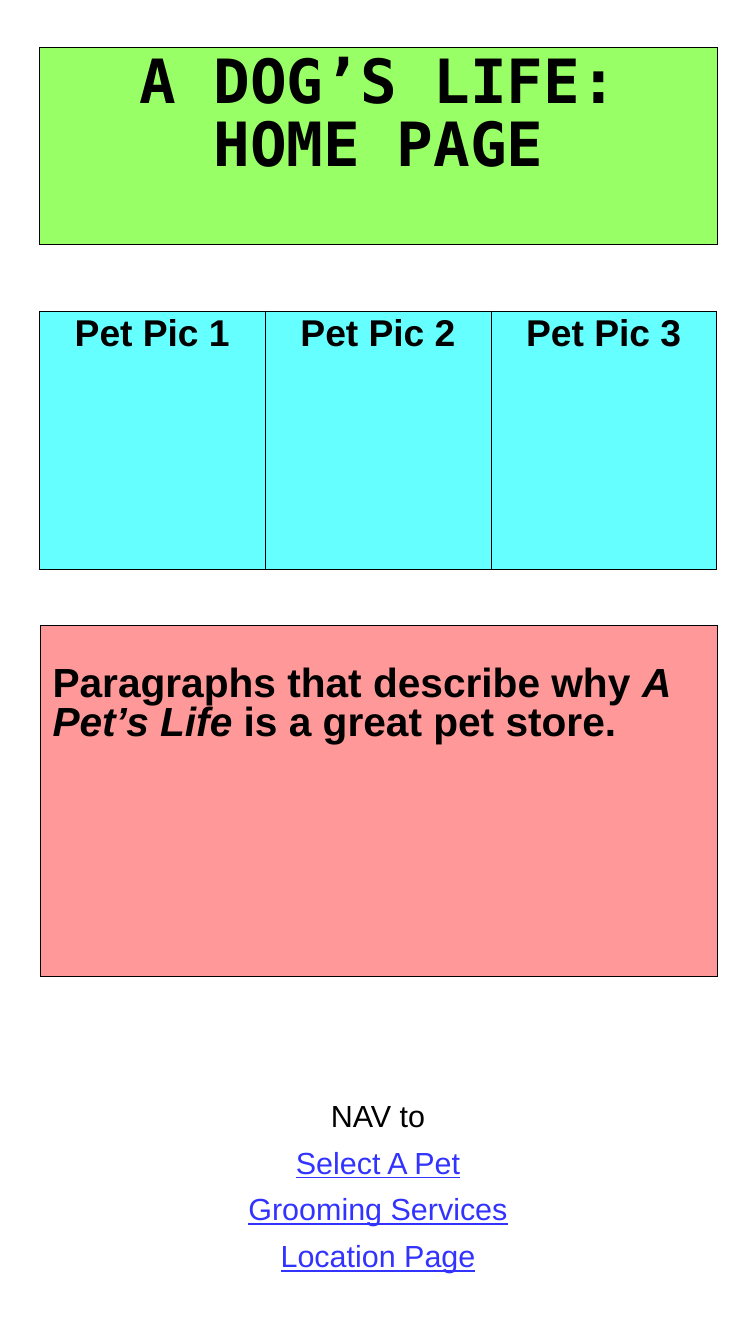
"""Build the home page wireframe of a pet store site."""
from lxml.etree import SubElement
from pptx import Presentation
from pptx.dml.color import RGBColor
from pptx.enum.text import PP_ALIGN
from pptx.oxml.ns import qn
from pptx.util import Cm, Pt

BLACK = RGBColor(0x00, 0x00, 0x00)
WHITE = RGBColor(0xFF, 0xFF, 0xFF)
GREEN = RGBColor(0x99, 0xFF, 0x66)
CYAN = RGBColor(0x66, 0xFF, 0xFF)
PINK = RGBColor(0xFF, 0x99, 0x99)
BLUE = RGBColor(0x33, 0x33, 0xFF)


def write(frame, text, size, bold=False, face="Arial", align=PP_ALIGN.CENTER,
          space=0.87):
    """Fill a frame with one paragraph, setting text between stars in italics."""
    para = frame.paragraphs[0]
    for i, part in enumerate(text.split("*")):
        run = para.add_run()
        run.text = part
        if i % 2:
            run.font.italic = True
    para.alignment = align
    para.line_spacing = space
    font = para.font
    font.name, font.size, font.bold = face, Pt(size), bold
    font.color.rgb = BLACK
    return para


def border(cell, color, width):
    """Draw all four edges of a cell."""
    props = cell._tc.get_or_add_tcPr()
    for side in ("lnL", "lnR", "lnT", "lnB"):
        line = SubElement(props, qn(f"a:{side}"), w=str(Pt(width)))
        fill = SubElement(line, qn("a:solidFill"))
        SubElement(fill, qn("a:srgbClr"), val=str(color))


def add_grid(slide, box, rows, fill, size, edge=BLACK, width=0.28, **style):
    """Add a table of evenly sized, filled cells; return it and its paragraphs."""
    frame = slide.shapes.add_table(len(rows), len(rows[0]), *map(Cm, box))
    table = frame.table
    table.first_row = table.horz_banding = False
    paras = []
    for r, row in enumerate(rows):
        for c, text in enumerate(row):
            cell = table.cell(r, c)
            border(cell, edge, width)
            cell.fill.solid()
            cell.fill.fore_color.rgb = fill
            paras.append(write(cell.text_frame, text, size, **style))
    return table, paras


def add_nav(slide, box, head, links):
    """List the page links under a heading."""
    rows = [[text] for text in (head, *links)]
    _, paras = add_grid(slide, box, rows, WHITE, 18, edge=WHITE, width=0.06)
    for para in paras[1:]:
        para.font.color.rgb = BLUE
        para.font.underline = True


def main():
    """Compose and save the slide."""
    deck = Presentation()
    deck.slide_width, deck.slide_height = Cm(15.75), Cm(27.99)
    slide = deck.slides.add_slide(deck.slide_layouts[6])

    add_grid(slide, (0.82, 0.98, 14.13, 4.11), [["A DOG’S LIFE: HOME PAGE"]],
             GREEN, 36, width=0.17, bold=True, face="DejaVu Sans Mono",
             space=0.89)
    pics = [f"Pet Pic {n}" for n in range(1, 4)]
    add_grid(slide, (0.82, 6.48, 14.11, 5.38), [pics], CYAN, 22, bold=True)
    about = "Paragraphs that describe why *A Pet’s Life* is a great pet store."
    table, _ = add_grid(slide, (0.84, 13.03, 14.11, 7.3), [[about]], PINK, 24,
                        bold=True, align=PP_ALIGN.LEFT)
    table.cell(0, 0).margin_top = Cm(0.83)
    add_nav(slide, (4.55, 22.86, 6.65, 3.88), "NAV to",
            ("Select A Pet", "Grooming Services", "Location Page"))

    deck.save("out.pptx")


if __name__ == "__main__":
    main()
